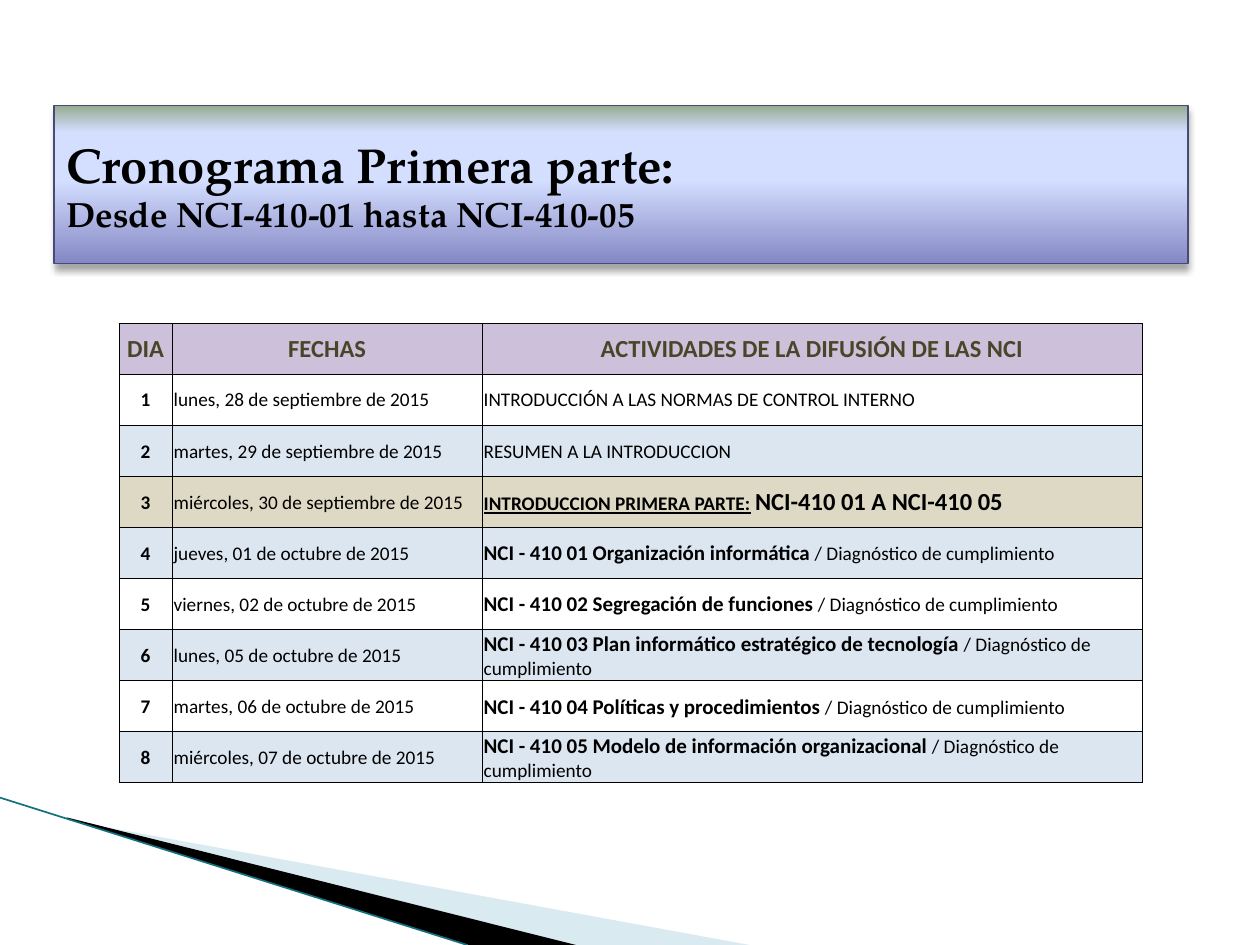
"""Build the schedule slide for the first part of the NCI programme."""
from dataclasses import dataclass
from typing import NamedTuple

from lxml.etree import SubElement
from pptx import Presentation
from pptx.dml.color import RGBColor
from pptx.enum.shapes import MSO_CONNECTOR as CONN, MSO_SHAPE as SHAPE
from pptx.enum.text import MSO_ANCHOR as ANCHOR, PP_ALIGN as ALIGN
from pptx.oxml import parse_xml
from pptx.oxml.ns import nsdecls, qn
from pptx.util import Cm, Pt


@dataclass(frozen=True)
class Theme:
    title_font: str = "TeX Gyre Pagella"
    body_font: str = "Calibri"
    title: float = 28
    subtitle: float = 20
    heading: float = 14
    topic: float = 12
    body: float = 11
    ink: str = "000000"
    heading_ink: str = "494529"
    header: str = "CCC0DA"
    plain: str = "FFFFFF"
    band: str = "DCE6F1"
    accent: str = "DDD9C4"
    title_line: str = "474B78"
    pale: str = "A0CBDC"
    teal: str = "137080"
    gradient: tuple = ((0, "8488C4"), (53, "D4DEFF"), (83, "D4DEFF"), (100, "96AB94"))


T = Theme()


class Span(NamedTuple):
    text: str
    size: float = T.body
    bold: bool = False
    underline: bool = False
    color: str = T.ink


class Day(NamedTuple):
    date: str
    activity: list[Span]
    fill: str


class Wedge(NamedTuple):
    points: list[tuple[float, float]]
    color: str
    alpha: int


def norm(topic: str) -> list[Span]:
    return [Span(f"NCI - 410 {topic}", T.topic, True), Span(" / Diagnóstico de cumplimiento")]


HEADINGS = ["DIA", "FECHAS", "ACTIVIDADES DE LA DIFUSIÓN DE LAS NCI"]
DAYS = [
    Day("lunes, 28 de septiembre de 2015",
        [Span("INTRODUCCIÓN A LAS NORMAS DE CONTROL INTERNO")], T.plain),
    Day("martes, 29 de septiembre de 2015", [Span("RESUMEN A LA INTRODUCCION")], T.band),
    Day("miércoles, 30 de septiembre de 2015",
        [Span("INTRODUCCION PRIMERA PARTE:", T.body, True, True), Span(" "),
         Span("NCI-410 01 A NCI-410 05", T.heading, True)], T.accent),
    Day("jueves, 01 de octubre de 2015", norm("01 Organización informática"), T.band),
    Day("viernes, 02 de octubre de 2015", norm("02 Segregación de funciones"), T.plain),
    Day("lunes, 05 de octubre de 2015",
        norm("03 Plan informático estratégico de tecnología"), T.band),
    Day("martes, 06 de octubre de 2015", norm("04 Políticas y procedimientos"), T.plain),
    Day("miércoles, 07 de octubre de 2015",
        norm("05 Modelo de información organizacional"), T.band),
]
WEDGES = [
    Wedge([(1.4, 16.54), (15.11, 19.05), (11.58, 19.05), (1.4, 16.51)], T.pale, 40),
    Wedge([(1.35, 16.48), (11.61, 19.05), (9.45, 19.05), (1.37, 16.51)], T.ink, 100),
]


def rgb(color: str) -> RGBColor:
    return RGBColor.from_string(color)


def style_run(r, font: str, span: Span) -> None:
    r.font.name, r.font.size = font, Pt(span.size)
    r.font.bold, r.font.underline = span.bold, span.underline
    r.font.color.rgb = rgb(span.color)


def draw_wedge(s, wedge: Wedge) -> None:
    points = [(Cm(x), Cm(y)) for x, y in wedge.points]
    builder = s.shapes.build_freeform(*points[0])
    builder.add_line_segments(points[1:], close=True)
    sp = builder.convert_to_shape()
    sp.shadow.inherit = False
    sp.fill.solid()
    sp.fill.fore_color.rgb = rgb(wedge.color)
    sp.line.fill.background()
    if wedge.alpha < 100:
        color = sp._element.spPr.find(f"{qn('a:solidFill')}/{qn('a:srgbClr')}")
        SubElement(color, qn("a:alpha"), val=str(wedge.alpha * 1000))


def draw_edge(s) -> None:
    line = s.shapes.add_connector(CONN.STRAIGHT, Cm(0), Cm(16.08), Cm(9.42), Cm(19.05))
    line.line.color.rgb = rgb(T.teal)
    line.line.width = Pt(0.95)
    SubElement(line._element.spPr, qn("a:effectLst"))


def draw_title(s) -> None:
    sp = s.shapes.add_shape(SHAPE.RECTANGLE, Cm(1.09), Cm(2.13), Cm(22.86), Cm(3.18))
    sp.fill.gradient()
    sp.fill.gradient_angle = 90
    stops = sp._element.spPr.find(f"{qn('a:gradFill')}/{qn('a:gsLst')}")
    for stop in list(stops):
        stops.remove(stop)
    for position, color in T.gradient:
        stop = SubElement(stops, qn("a:gs"), pos=str(position * 1000))
        SubElement(stop, qn("a:srgbClr"), val=color)
    sp.line.color.rgb = rgb(T.title_line)
    sp.line.width = Pt(0.75)
    sp.shadow.inherit = False
    sp._element.spPr.find(qn("a:effectLst")).append(parse_xml(
        f'<a:outerShdw {nsdecls("a")} blurRad="{Pt(4)}" dist="{Pt(3)}" dir="5400000" '
        f'rotWithShape="0"><a:srgbClr val="{T.ink}"><a:alpha val="35000"/></a:srgbClr>'
        '</a:outerShdw>'))
    tf = sp.text_frame
    tf.word_wrap = True
    tf.vertical_anchor = ANCHOR.MIDDLE
    p = tf.paragraphs[0]
    p.text = "Cronograma Primera parte:\vDesde NCI-410-01 hasta NCI-410-05"
    p.alignment = ALIGN.LEFT
    for r, size in zip(p.runs, (T.title, T.subtitle)):
        style_run(r, T.title_font, Span(r.text, size, True))


def fill_cell(cell, spans: list[Span], fill: str, align: ALIGN) -> None:
    cell.margin_left = cell.margin_right = cell.margin_top = Cm(0.03)
    cell.margin_bottom = 0
    cell.vertical_anchor = ANCHOR.MIDDLE
    cell.fill.solid()
    cell.fill.fore_color.rgb = rgb(fill)
    p = cell.text_frame.paragraphs[0]
    p.alignment = align
    for span in spans:
        r = p.add_run()
        r.text = span.text
        style_run(r, T.body_font, span)
    for i, side in enumerate("LRTB"):
        cell._tc.tcPr.insert(i, parse_xml(
            f'<a:ln{side} {nsdecls("a")} w="{Pt(0.5)}"><a:solidFill>'
            f'<a:srgbClr val="{T.ink}"/></a:solidFill></a:ln{side}>'))


def draw_schedule(s) -> None:
    widths = (1.07, 6.25, 13.3)
    heights = [1.02] + [1.03] * len(DAYS)
    table = s.shapes.add_table(len(heights), len(widths), Cm(2.4), Cm(6.52),
                               Cm(sum(widths)), Cm(sum(heights))).table
    for column, width in zip(table.columns, widths):
        column.width = Cm(width)
    for row, height in zip(table.rows, heights):
        row.height = Cm(height)
    for cell, text in zip(table.rows[0].cells, HEADINGS):
        heading = Span(text, T.heading, True, color=T.heading_ink)
        fill_cell(cell, [heading], T.header, ALIGN.CENTER)
    for number, day in enumerate(DAYS, 1):
        contents = [[Span(str(number), bold=True)], [Span(day.date)], day.activity]
        aligns = (ALIGN.CENTER, ALIGN.LEFT, ALIGN.LEFT)
        for cell, spans, align in zip(table.rows[number].cells, contents, aligns):
            fill_cell(cell, spans, day.fill, align)


def main() -> None:
    prs = Presentation()
    prs.slide_width, prs.slide_height = Cm(25.4), Cm(19.05)
    s = prs.slides.add_slide(prs.slide_layouts[6])
    for wedge in WEDGES:
        draw_wedge(s, wedge)
    draw_edge(s)
    draw_title(s)
    draw_schedule(s)
    prs.save("out.pptx")


main()
